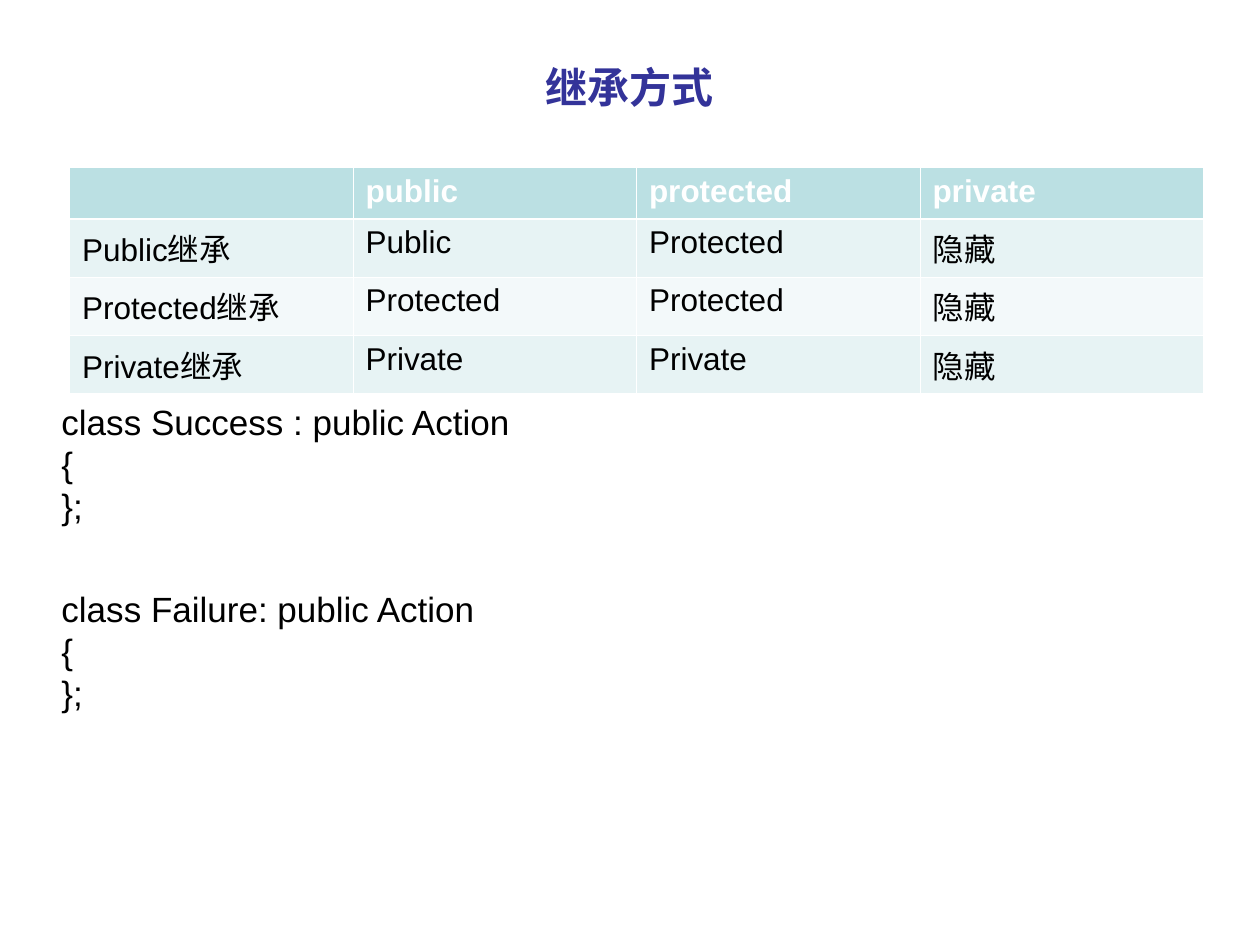
import pptx
import pptx.dml.color
import pptx.enum.text
import pptx.oxml
import pptx.oxml.ns
import pptx.util

Cm = pptx.util.Cm
Pt = pptx.util.Pt


def color(hex_string):
    return pptx.dml.color.RGBColor.from_string(hex_string)


class SlideBuilder:
    """Holds the style and the slide being built."""

    font = "Arial"
    title_color = "333399"
    text_color = "000000"
    light = "FFFFFF"
    header_fill = "BBE0E3"
    band_fills = ("E7F3F4", "F3F9FA")
    thin, thick = 0.45, 1.47

    def __init__(self, slide):
        self.slide = slide

    def add_run(self, paragraph, text, size, hex_color, bold=False):
        run = paragraph.add_run()
        run.text = text
        run.font.name = self.font
        run.font.size = Pt(size)
        run.font.bold = bold
        run.font.color.rgb = color(hex_color)

    def title(self, text, left, top, width, height):
        shape = self.slide.shapes.title
        shape.left, shape.top = Cm(left), Cm(top)
        shape.width, shape.height = Cm(width), Cm(height)
        frame = shape.text_frame
        frame.vertical_anchor = pptx.enum.text.MSO_ANCHOR.MIDDLE
        paragraph = frame.paragraphs[0]
        paragraph.alignment = pptx.enum.text.PP_ALIGN.CENTER
        self.add_run(paragraph, text, 24, self.title_color, bold=True)

    def border(self, cell, side, width):
        properties = cell._tc.get_or_add_tcPr()
        properties.append(pptx.oxml.parse_xml(
            f'<a:ln{side} {pptx.oxml.ns.nsdecls("a")} w="{int(Pt(width))}">'
            f'<a:solidFill><a:srgbClr val="{self.light}"/></a:solidFill>'
            f'</a:ln{side}>'))

    def cell(self, cell, text, row):
        is_header = row == 0
        # Borders come before the fill in the cell properties
        widths = {"L": self.thin, "R": self.thin,
                  "T": self.thick if row == 1 else self.thin,
                  "B": self.thick if is_header else self.thin}
        for side, width in widths.items():
            self.border(cell, side, width)
        cell.fill.solid()
        cell.fill.fore_color.rgb = color(
            self.header_fill if is_header else self.band_fills[(row - 1) % 2])
        if text:
            self.add_run(cell.text_frame.paragraphs[0], text, 18,
                         self.light if is_header else self.text_color,
                         bold=is_header)

    def table(self, rows, left, top, width, height):
        shape = self.slide.shapes.add_table(
            len(rows), len(rows[0]), Cm(left), Cm(top), Cm(width), Cm(height))
        for row, texts in enumerate(rows):
            for column, text in enumerate(texts):
                self.cell(shape.table.cell(row, column), text, row)

    def code(self, lines, left, top, width, height):
        shape = self.slide.shapes.add_textbox(
            Cm(left), Cm(top), Cm(width), Cm(height))
        frame = shape.text_frame
        frame.word_wrap = True
        frame.auto_size = pptx.enum.text.MSO_AUTO_SIZE.SHAPE_TO_FIT_TEXT
        for index, line in enumerate(lines):
            paragraph = frame.add_paragraph() if index else frame.paragraphs[0]
            self.add_run(paragraph, line, 20, self.text_color)


def main():
    presentation = pptx.Presentation()
    presentation.slide_width = Cm(25.4)
    presentation.slide_height = Cm(19.05)
    title_only = presentation.slide_layouts[5]
    builder = SlideBuilder(presentation.slides.add_slide(title_only))

    # Title
    builder.title("继承方式", 1.27, 0.76, 22.86, 1.96)

    # Member access under each kind of inheritance
    builder.table([
        ("", "public", "protected", "private"),
        ("Public继承", "Public", "Protected", "隐藏"),
        ("Protected继承", "Protected", "Protected", "隐藏"),
        ("Private继承", "Private", "Private", "隐藏"),
    ], 1.4, 3.38, 22.86, 4.11)

    # Code examples
    builder.code(("class Success : public Action", "{", "};"),
                 0.99, 7.95, 23.83, 2.79)
    builder.code(("class Failure: public Action", "{", "};"),
                 0.99, 11.71, 12.7, 2.79)

    presentation.save("out.pptx")


if __name__ == "__main__":
    main()
